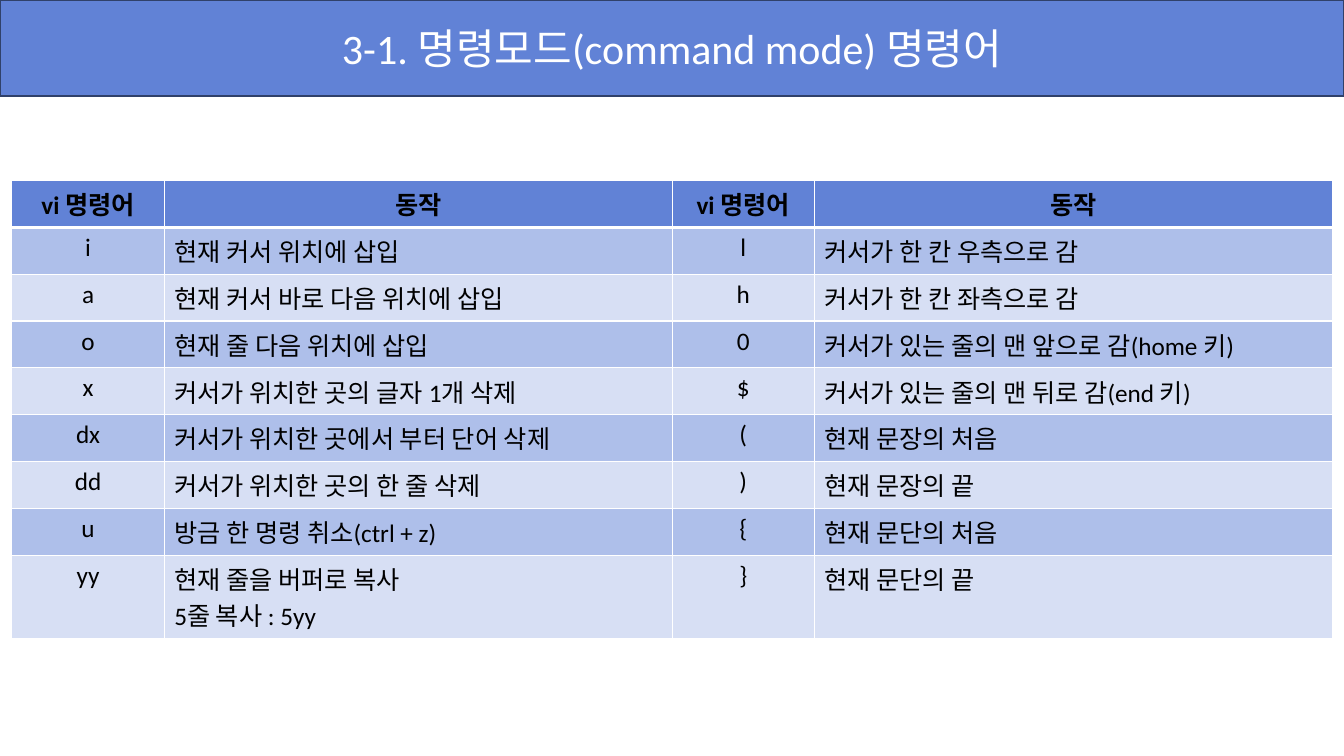
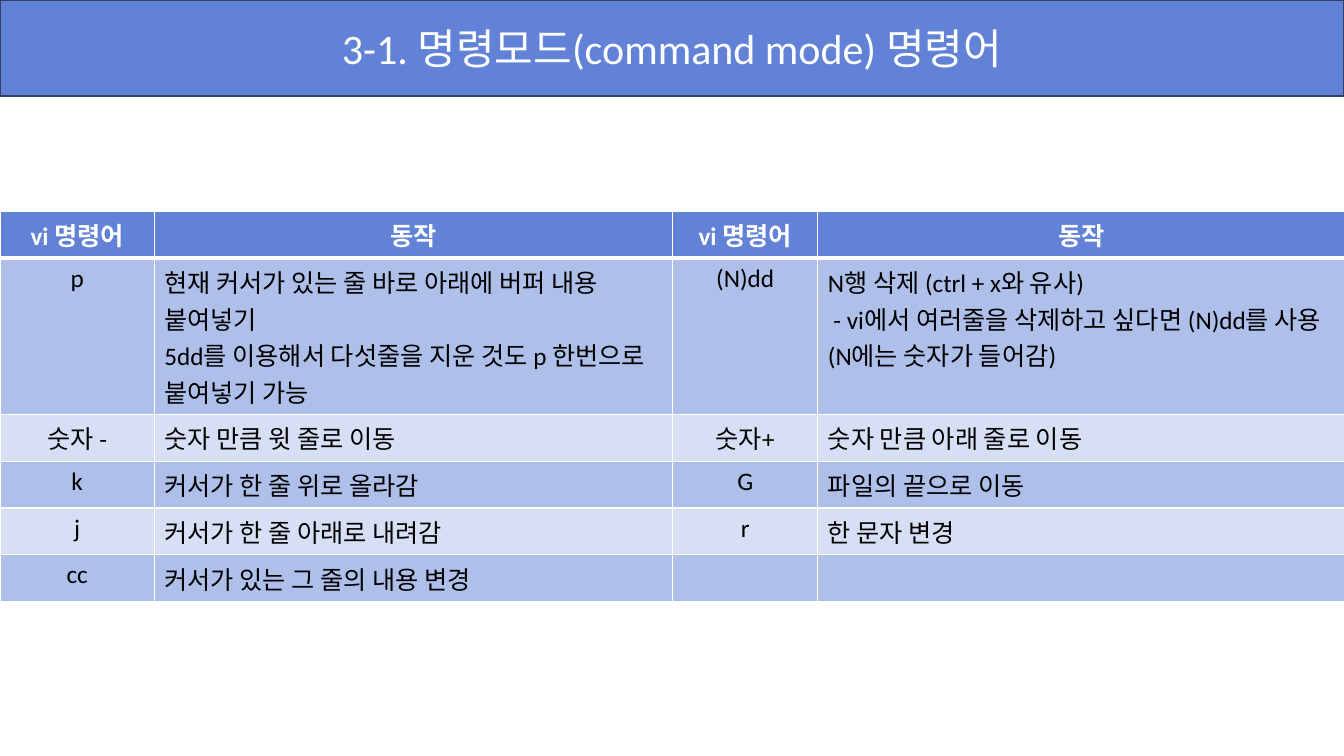
from lxml import etree
from pptx import Presentation
from pptx.dml.color import RGBColor
from pptx.enum.shapes import MSO_SHAPE
from pptx.enum.text import MSO_ANCHOR, PP_ALIGN
from pptx.oxml.ns import qn
from pptx.util import Cm, Pt

RECTANGLE = MSO_SHAPE.RECTANGLE
MIDDLE = MSO_ANCHOR.MIDDLE
CENTER, LEFT = PP_ALIGN.CENTER, PP_ALIGN.LEFT

BLUE = RGBColor(0x61, 0x82, 0xD6)
NAVY = RGBColor(0x30, 0x41, 0x6A)
DARK_BAND = RGBColor(0xAE, 0xBF, 0xEA)
LIGHT_BAND = RGBColor(0xD7, 0xDF, 0xF4)
WHITE = RGBColor(0xFF, 0xFF, 0xFF)
BLACK = RGBColor(0, 0, 0)

FONT = "Calibri"
SLIDE_WIDTH, SLIDE_HEIGHT = Cm(33.87), Cm(19.05)
TITLE_HEIGHT = Cm(2.41)
ROW_HEIGHT = 1.18
NOTE_INDENT = Cm(0.14)

TITLE = "3-1. 명령모드(command mode) 명령어"
HEADINGS = ("vi 명령어", "동작", "vi 명령어", "동작")

EDIT_COMMANDS = [
    ("i", "현재 커서 위치에 삽입", "l", "커서가 한 칸 우측으로 감"),
    ("a", "현재 커서 바로 다음 위치에 삽입", "h", "커서가 한 칸 좌측으로 감"),
    ("o", "현재 줄 다음 위치에 삽입", "0", "커서가 있는 줄의 맨 앞으로 감(home 키)"),
    ("x", "커서가 위치한 곳의 글자 1개 삭제", "$", "커서가 있는 줄의 맨 뒤로 감(end 키)"),
    ("dx", "커서가 위치한 곳에서 부터 단어 삭제", "(", "현재 문장의 처음"),
    ("dd", "커서가 위치한 곳의 한 줄 삭제", ")", "현재 문장의 끝"),
    ("u", "방금 한 명령 취소(ctrl + z)", "{", "현재 문단의 처음"),
    ("yy", "현재 줄을 버퍼로 복사\n5줄 복사 : 5yy", "}", "현재 문단의 끝"),
]
LINE_COMMANDS = [
    ("p",
     "현재 커서가 있는 줄 바로 아래에 버퍼 내용 붙여넣기\n"
     "5dd를 이용해서 다섯줄을 지운 것도 p 한번으로 붙여넣기 가능",
     "(N)dd",
     "N행 삭제 (ctrl + x와 유사)\n"
     "- vi에서 여러줄을 삭제하고 싶다면 (N)dd를 사용(N에는 숫자가 들어감)"),
    ("숫자 -", "숫자 만큼 윗 줄로 이동", "숫자+", "숫자 만큼 아래 줄로 이동"),
    ("k", "커서가 한 줄 위로 올라감", "G", "파일의 끝으로 이동"),
    ("j", "커서가 한 줄 아래로 내려감", "r", "한 문자 변경"),
    ("cc", "커서가 있는 그 줄의 내용 변경", "", ""),
]


def style_paragraph(paragraph, size, color, align, bold=False):
    paragraph.alignment = align
    font = paragraph.font
    font.name, font.size, font.bold = FONT, Pt(size), bold
    font.color.rgb = color


def add_title_band(slide, left, top, width, height):
    band = slide.shapes.add_shape(RECTANGLE, left, top, width, height)
    band.shadow.inherit = False
    band.fill.solid()
    band.fill.fore_color.rgb = BLUE
    band.line.color.rgb = NAVY
    band.line.width = Pt(1.5)
    frame = band.text_frame
    frame.word_wrap = True
    frame.vertical_anchor = MIDDLE
    frame.text = TITLE
    style_paragraph(frame.paragraphs[0], 30, WHITE, CENTER)


def set_borders(cell, top_width, bottom_width):
    properties = cell._tc.get_or_add_tcPr()
    widths = {"a:lnL": 1, "a:lnR": 1, "a:lnT": top_width, "a:lnB": bottom_width}
    for side, width in widths.items():
        border = etree.SubElement(properties, qn(side), w=str(Pt(width)))
        fill = etree.SubElement(border, qn("a:solidFill"))
        etree.SubElement(fill, qn("a:srgbClr"), val=str(WHITE))


def fill_cell(cell, text, row, column, heading_color):
    heading = row == 0
    set_borders(cell, 3 if row == 1 else 1, 3 if heading else 1)
    cell.fill.solid()
    cell.fill.fore_color.rgb = BLUE if heading else DARK_BAND if row % 2 else LIGHT_BAND
    cell.text = text
    align = CENTER if heading or column % 2 == 0 else LEFT
    for paragraph in cell.text_frame.paragraphs:
        style_paragraph(paragraph, 18, heading_color if heading else BLACK, align, heading)
        if paragraph.text.startswith("- "):
            paragraph._p.get_or_add_pPr().set("indent", str(NOTE_INDENT))


def add_command_table(slide, left, top, column_widths, commands, tall_rows, heading_color):
    rows = [HEADINGS, *commands]
    heights = [tall_rows.get(row, ROW_HEIGHT) for row in range(len(rows))]
    table = slide.shapes.add_table(
        len(rows), len(HEADINGS), left, top, Cm(sum(column_widths)), Cm(sum(heights))
    ).table
    for column, width in zip(table.columns, column_widths):
        column.width = Cm(width)
    for row, (texts, height) in enumerate(zip(rows, heights)):
        table.rows[row].height = Cm(height)
        for column, text in enumerate(texts):
            fill_cell(table.cell(row, column), text, row, column, heading_color)


def add_command_slide(presentation, **table_options):
    slide = presentation.slides.add_slide(presentation.slide_layouts[6])
    add_title_band(slide, 0, 0, SLIDE_WIDTH, TITLE_HEIGHT)
    add_command_table(slide, **table_options)


def main():
    presentation = Presentation()
    presentation.slide_width, presentation.slide_height = SLIDE_WIDTH, SLIDE_HEIGHT
    add_command_slide(
        presentation, left=Cm(0.3), top=Cm(4.55),
        column_widths=(3.84, 12.8, 3.58, 13.06),
        commands=EDIT_COMMANDS, tall_rows={8: 2.08}, heading_color=BLACK,
    )
    add_command_slide(
        presentation, left=Cm(0), top=Cm(5.33),
        column_widths=(3.89, 13.06, 3.66, 13.28),
        commands=LINE_COMMANDS, tall_rows={1: 3.92}, heading_color=WHITE,
    )
    presentation.save("out.pptx")


if __name__ == "__main__":
    main()
